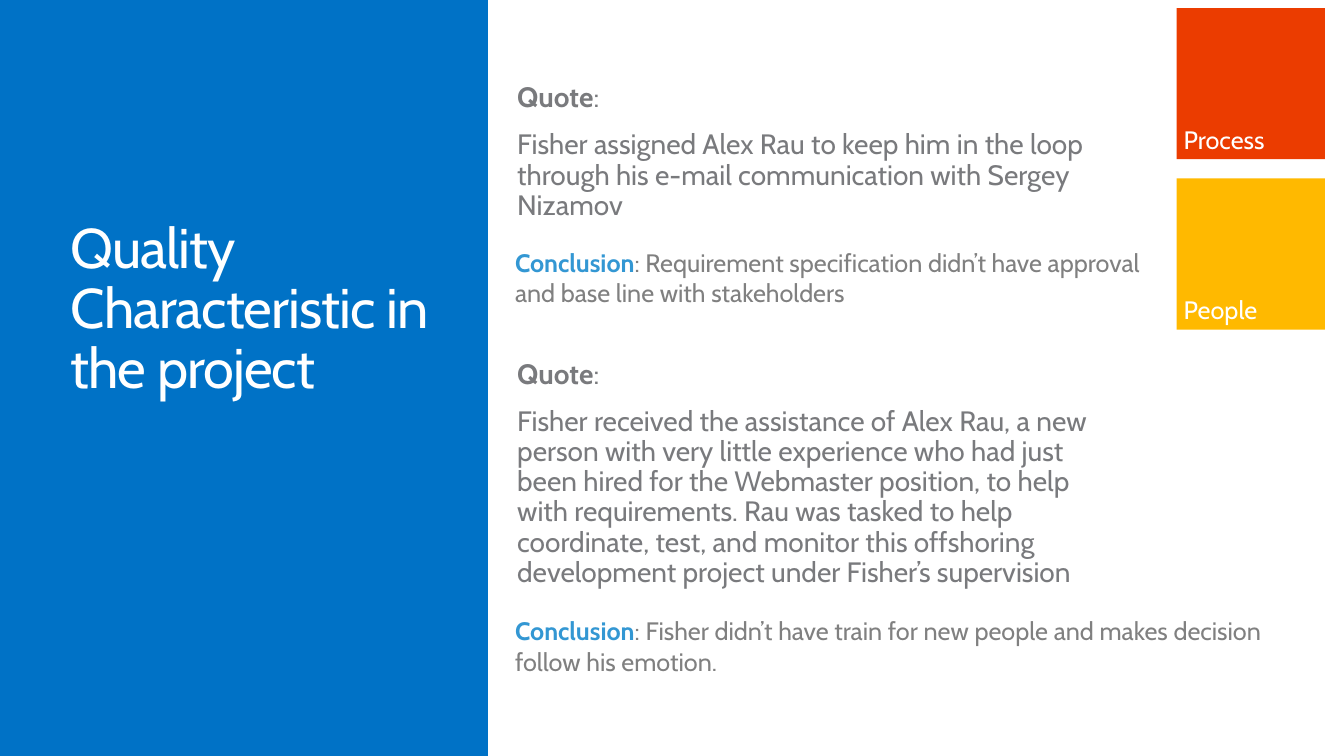
from pptx import Presentation
from pptx.dml.color import RGBColor
from pptx.enum.shapes import MSO_SHAPE as Shape
from pptx.enum.text import MSO_ANCHOR as Anchor, MSO_AUTO_SIZE as AutoSize, PP_ALIGN as Align
from pptx.util import Inches, Pt

COLORS = {
    "blue": "0072C6",
    "sky": "3397D3",
    "red": "EB3C00",
    "amber": "FFB900",
    "slate": "797A7D",
    "gray": "808080",
    "white": "FFFFFF",
}


def add_block(shape, left, top, width, height, color=None):
    shape.left, shape.top = Inches(left), Inches(top)
    shape.width, shape.height = Inches(width), Inches(height)
    if color:
        shape.shadow.inherit = False
        shape.fill.solid()
        shape.fill.fore_color.rgb = RGBColor.from_string(COLORS[color])
        shape.line.fill.background()
    return shape


def write(shape, paragraphs, size, margins=(0, 0), anchor=Anchor.TOP,
          line_spacing=1.0, before=0, tracking=0):
    frame = shape.text_frame
    frame.word_wrap = True
    frame.auto_size = AutoSize.NONE
    frame.vertical_anchor = anchor
    frame.margin_left = frame.margin_right = Inches(margins[0])
    frame.margin_top = frame.margin_bottom = Inches(margins[1])
    for index, spans in enumerate(paragraphs):
        para = frame.paragraphs[0] if index == 0 else frame.add_paragraph()
        para.alignment = Align.LEFT
        para.line_spacing = line_spacing
        para.space_before = Pt(before)
        for text, color, bold in spans:
            span = para.add_run()
            span.text = text
            span.font.name = "Cabin"
            span.font.size = Pt(size)
            span.font.bold = bold
            span.font.color.rgb = RGBColor.from_string(COLORS[color])
            if tracking:
                span.font._element.set("spc", str(tracking))


deck = Presentation()
deck.slide_width, deck.slide_height = Inches(13.33), Inches(7.5)
page = deck.slides.add_slide(deck.slide_layouts[5])
shapes = page.shapes

title = add_block(shapes.title, 0.7, 2.18, 3.59, 1.81)
write(title, [[("Quality Characteristic in the project", "white", False)]], 39.9,
      line_spacing=0.9, tracking=-70)

panel = add_block(shapes.add_shape(Shape.RECTANGLE, 0, 0, 0, 0), 0, 0, 4.84, 7.5, "blue")
title.element.addprevious(panel.element)

for row, (label, color) in enumerate([("Process", "red"), ("People", "amber")]):
    tile = add_block(shapes.add_shape(Shape.RECTANGLE, 0, 0, 0, 0),
                     11.67, 0.08 + row * 1.69, 1.47, 1.5, color)
    write(tile, [[(label, "white", False)]], 18, (0.07, 0.05), Anchor.BOTTOM)

findings = [
    (0.83, 1.57,
     "Fisher assigned Alex Rau to keep him in the loop through his e-mail "
     "communication with Sergey Nizamov",
     2.4, 6.66,
     "Requirement specification didn’t have approval and base line with stakeholders"),
    (3.57, 2.28,
     "Fisher received the assistance of Alex Rau, a new person with very little "
     "experience who had just been hired for the Webmaster position, to help with "
     "requirements. Rau was tasked to help coordinate, test, and monitor this "
     "offshoring development project under Fisher’s supervision",
     6.06, 7.85,
     "Fisher didn’t have train for new people and makes decision follow his emotion."),
]
for quote_top, quote_height, quote, end_top, end_width, conclusion in findings:
    box = add_block(shapes.add_textbox(0, 0, 0, 0), 5.13, quote_top, 6, quote_height)
    write(box, [[("Quote", "slate", True), (":", "slate", False)],
                [(quote, "slate", False)]], 20, line_spacing=0.9, before=12)
    box = add_block(shapes.add_textbox(0, 0, 0, 0), 5.01, end_top, end_width, 0.71)
    write(box, [[("Conclusion", "sky", True), (": " + conclusion, "gray", False)]],
          18, (0.1, 0.05))

deck.save("out.pptx")
